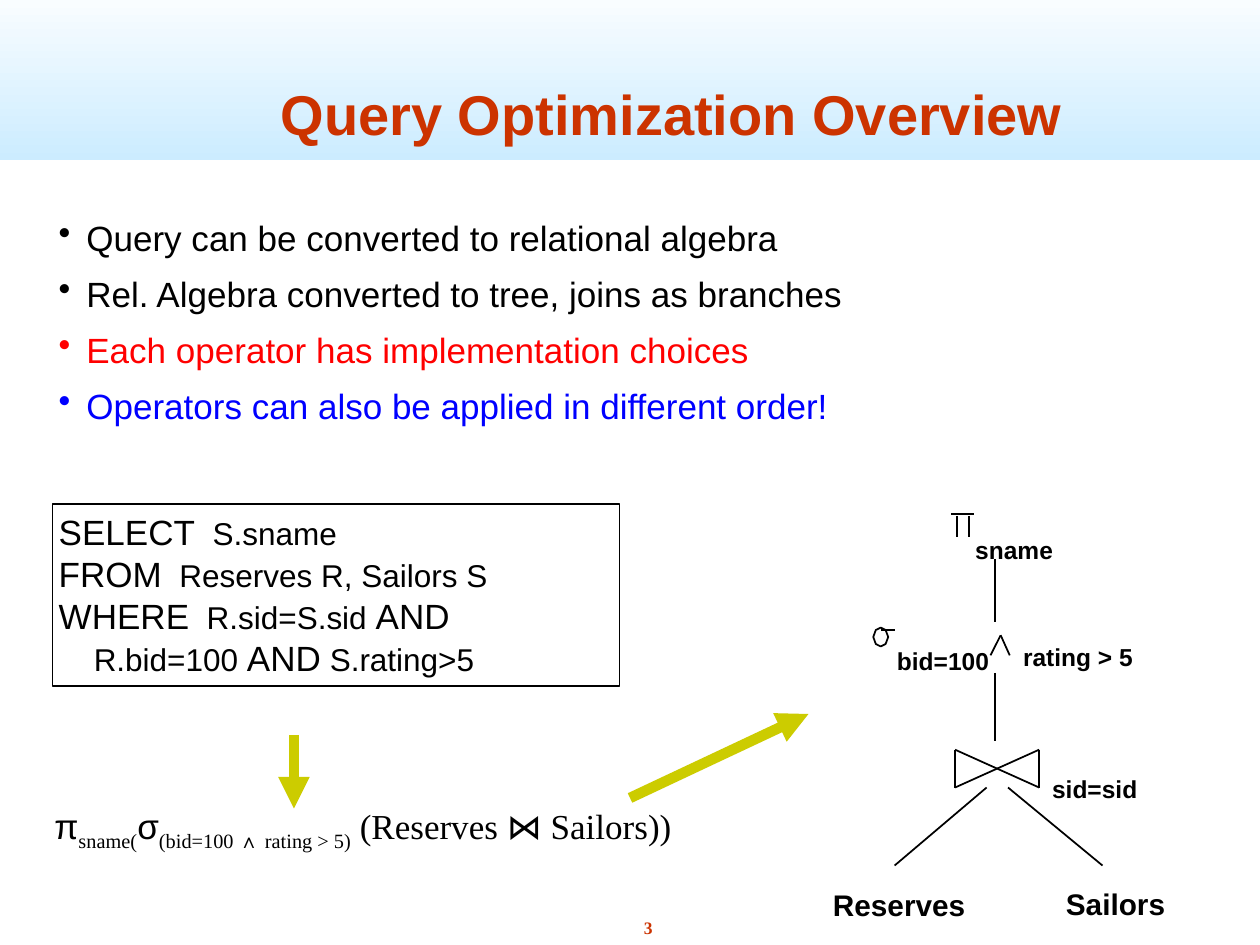
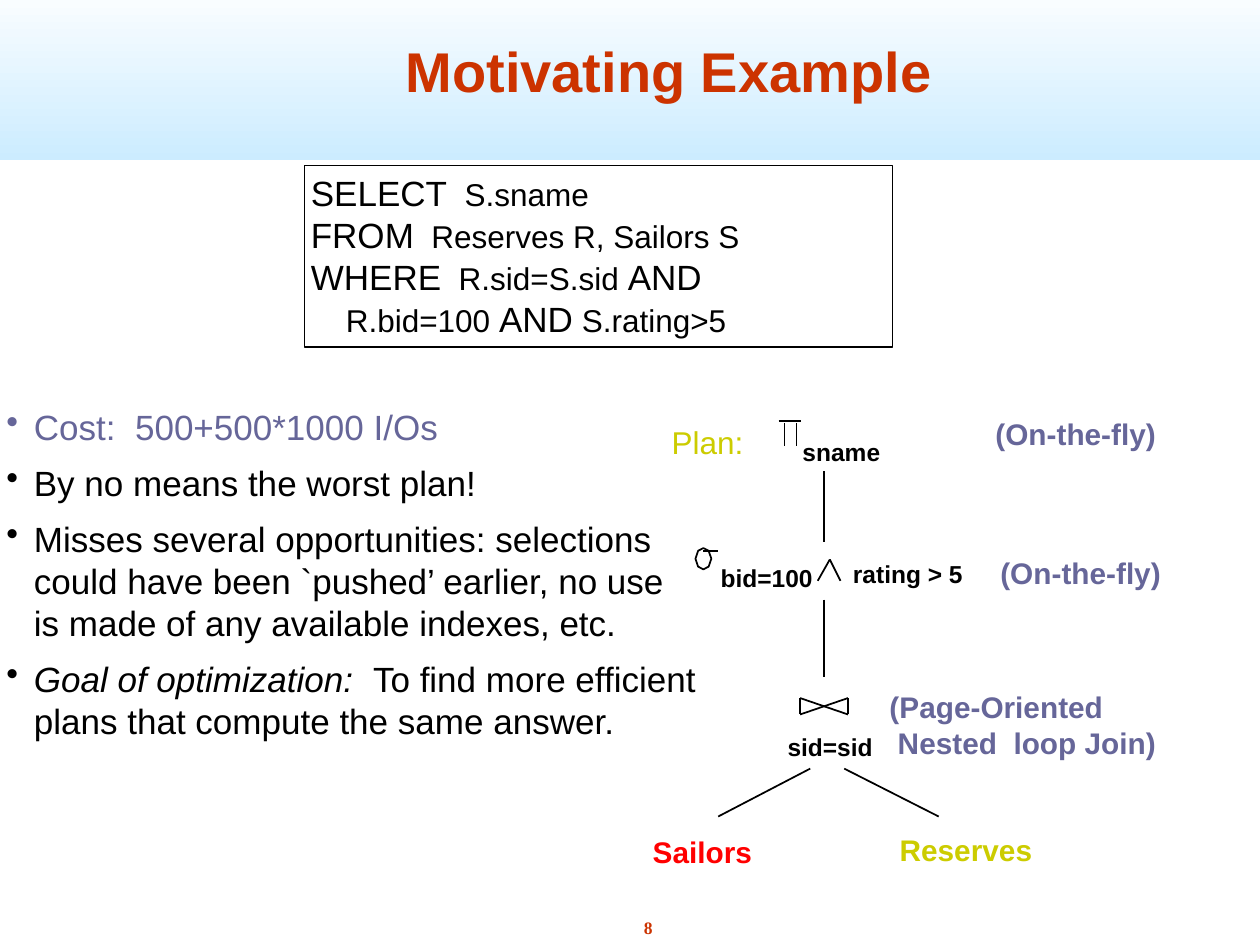
from pptx import Presentation
from pptx.dml.color import RGBColor
from pptx.enum.shapes import MSO_CONNECTOR, MSO_SHAPE
from pptx.enum.text import MSO_ANCHOR, PP_ALIGN
from pptx.oxml.ns import qn
from pptx.util import Pt
from lxml.etree import SubElement

BLACK, RED, BLUE = "000000", "FF0000", "0000FF"
RUST, GOLD, SLATE = "CC3300", "CCCC00", "666699"
SKY, WHITE = "CCECFF", "FFFFFF"
SANS, SERIF, SYMBOL = "Arial", "Times New Roman", "Lato"


def color(code):
    return RGBColor.from_string(code)


def frame(box):
    return [Pt(round(v, 2)) for v in box]


def write(shape, paras, size=20, font=SANS, ink=BLACK, bold=False, align=PP_ALIGN.LEFT,
          anchor=MSO_ANCHOR.TOP, wrap=True, before=0, line=None, bullet=False, inset=()):
    """Fill a shape; a paragraph is a string or a list of (text, changes) runs."""
    body = shape.text_frame
    body.word_wrap, body.vertical_anchor = wrap, anchor
    body.margin_left = body.margin_right = body.margin_top = body.margin_bottom = Pt(3.6)
    for i, runs in enumerate(paras):
        para = body.paragraphs[0] if i == 0 else body.add_paragraph()
        para.alignment, para.space_before = align, Pt(before)
        if line:
            para.line_spacing = Pt(line)
        props = para._p.get_or_add_pPr()
        if i in inset:
            props.set("marL", str(Pt(20)))
        if bullet:
            props.set("marL", str(Pt(15.8)))
            props.set("indent", str(-Pt(15.8)))
            SubElement(props, qn("a:buChar")).set("char", "•")
        for words, change in [(runs, {})] if isinstance(runs, str) else runs:
            run = para.add_run()
            run.text = words
            run.font.size = Pt(change.get("size", size))
            run.font.name = change.get("font", font)
            run.font.color.rgb = color(change.get("ink", ink))
            run.font.bold = bold
            run.font.italic = change.get("slant", False)
            if change.get("sub"):
                run._r.get_or_add_rPr().set("baseline", "-25000")
    return shape


def text(slide, box, paras, **form):
    return write(slide.shapes.add_textbox(*frame(box)), paras, **form)


def stroke(slide, x1, y1, x2, y2, ink=BLACK, width=1, arrow=False):
    link = slide.shapes.add_connector(MSO_CONNECTOR.STRAIGHT, *frame((x1, y1, x2, y2)))
    link.line.color.rgb, link.line.width = color(ink), Pt(width)
    if arrow:
        SubElement(link.line._get_or_add_ln(), qn("a:tailEnd")).set("type", "triangle")
    SubElement(link._element.spPr, qn("a:effectLst"))


# Shared slide parts
def base(deck, title, box, number):
    slide = deck.slides.add_slide(deck.slide_layouts[6])
    band = slide.shapes.add_shape(MSO_SHAPE.RECTANGLE, *frame((0, -12.2, 720, 103.7)))
    band.shadow.inherit = False
    band.line.fill.background()
    band.fill.gradient()
    band.fill.gradient_angle = 90
    for stop, (code, place) in zip(band.fill.gradient_stops, ((SKY, 0), (WHITE, 1))):
        stop.color.rgb, stop.position = color(code), place
    text(slide, (363.6, 520.6, 13.7, 19.4), [number], size=10, font=SERIF, ink=RUST,
         bold=True, align=PP_ALIGN.CENTER, wrap=False, before=6)
    text(slide, box, [title], size=32, ink=RUST, bold=True,
         align=PP_ALIGN.CENTER, anchor=MSO_ANCHOR.BOTTOM)
    return slide


def query(slide, box):
    small = {"size": 18}
    panel = slide.shapes.add_shape(MSO_SHAPE.RECTANGLE, *frame(box))
    panel.shadow.inherit = False
    panel.fill.background()
    panel.line.color.rgb, panel.line.width = color(BLACK), Pt(1)
    write(panel, [
        [("SELECT", {}), ("  S.sname", small)],
        [("FROM", {}), ("  Reserves R, Sailors S", small)],
        [("WHERE", {}), ("  R.sid=S.sid ", small), ("AND", {})],
        [("R.bid=100 ", small), ("AND", {}), (" S.rating>5", small)],
    ], line=24, inset=(3,))


def points(slide, box, paras):
    text(slide, box, paras, before=8, line=24, bullet=True)


# Operator signs, each drawn inside its box
def sign(slide, box, lines):
    x, y, w, h = box
    for x1, y1, x2, y2 in lines:
        stroke(slide, x + x1 * w, y + y1 * h, x + x2 * w, y + y2 * h)


def project(slide, box):
    sign(slide, box, [(0, 0, 1, 0), (.25, .08, .25, 1), (.78, .08, .78, 1)])


def select(slide, box):
    x, y, w, h = box
    ring = [(1, .5), (.83, .13), (.5, 0), (.17, .13),
            (0, .5), (.17, .87), (.5, 1), (.83, .87)]
    spots = [(Pt(x + a * w * .7), Pt(y + b * h)) for a, b in ring]
    path = slide.shapes.build_freeform(*spots[0])
    path.add_line_segments(spots[1:], close=True)
    loop = path.convert_to_shape()
    loop.shadow.inherit = False
    loop.fill.background()
    loop.line.color.rgb, loop.line.width = color(BLACK), Pt(1)
    sign(slide, box, [(.35, .13, 1, .13)])


def wedge(slide, box):
    sign(slide, box, [(0, 1, .53, 0), (.53, 0, 1, 1)])


def join(slide, box):
    sign(slide, box, [(0, 0, 0, 1), (1, 0, 1, 1), (0, 0, 1, 1), (0, 1, 1, 0)])


def tree(slide, box, signs, links, labels):
    left, top = box[:2]
    for draw, (x, y, w, h) in zip((project, select, wedge, join), signs):
        draw(slide, (left + x, top + y, w, h))
    for x1, y1, x2, y2 in links:
        stroke(slide, left + x1, top + y1, left + x2, top + y2)
    for words, x, y, width, size, ink in labels:
        rows = words.split("\n")
        tall = 7.2 + len(rows) * size * 1.15
        text(slide, (left + x, top + y, width, tall), rows,
             size=size, ink=ink, bold=True, wrap=False)


# Algebra line below the query
def algebra(slide, box):
    low, serif = {"font": SERIF, "sub": True}, {"font": SERIF}
    text(slide, box, [[
        ("π", {}), ("sname(", low), ("σ", {}), ("(bid=100 ", low), ("∧ ", {"sub": True}),
        ("rating > 5)", low), (" (Reserves ", serif), ("⋈", {"font": SYMBOL}),
        (" Sailors))", serif)]], before=12)


def overview(deck):
    slide = base(deck, "Query Optimization Overview", (77.8, 0, 612, 87.1), "3")
    query(slide, (30, 288, 324, 104))
    tree(slide, (470, 290, 220, 240),
         signs=[(73.6, 3.8, 13, 13), (29, 68.6, 12.2, 10.8),
                (96, 73, 11, 11.5), (75.8, 138.4, 48, 21.6)],
         links=[(98.8, 29.7, 98.8, 65.7), (98.8, 94.5, 98.8, 133.4),
                (93.8, 160, 41.2, 204.6), (106, 160, 160, 204.6)],
         labels=[("sname", 83.7, 12.4, 52.6, 14, BLACK),
                 ("bid=100", 39, 75.8, 64, 14, BLACK),
                 ("rating > 5", 111, 73.6, 70.6, 14, BLACK),
                 ("sid=sid", 127.6, 148.5, 57, 14, BLACK),
                 ("Reserves", 2.3, 213.3, 83.5, 17, BLACK),
                 ("Sailors", 135.5, 212.6, 64.8, 17, BLACK)])
    points(slide, (30, 120, 654, 138), [
        "Query can be converted to relational algebra",
        "Rel. Algebra converted to tree, joins as branches",
        [("Each operator has implementation choices", {"ink": RED})],
        [("Operators can also be applied in different order!", {"ink": BLUE})]])
    algebra(slide, (27.4, 456, 455, 34.6))
    for ends in ((168, 420, 168, 462), (360, 456, 462, 408)):
        stroke(slide, *ends, ink=GOLD, width=6, arrow=True)


def example(deck):
    slide = base(deck, "Motivating Example", (76.3, 0, 612, 62.6), "8")
    points(slide, (0, 228, 402, 285), [
        [("Cost:  500+500*1000 I/Os", {"ink": SLATE})],
        "By no means the worst plan!",
        "Misses several opportunities: selections could have been `pushed’ earlier, "
        "no use is made of any available indexes, etc.",
        [("Goal of optimization:  ", {"slant": True}),
         ("To find more efficient plans that compute the same answer.", {})]])
    query(slide, (174, 94.5, 336, 104))
    tree(slide, (368, 234, 300, 266),
         signs=[(77, 6.5, 13, 14.4), (29.4, 79.2, 13, 12.2),
                (99.3, 85.7, 13, 12.2), (89.2, 164.9, 27.4, 9.4)],
         links=[(102.9, 35.3, 102.9, 75.6), (102.9, 108.7, 102.9, 152.6),
                (95, 205.2, 42.4, 232.6), (114.4, 205.2, 168.4, 232.6)],
         labels=[("sname", 87, 12.2, 52.6, 14, BLACK),
                 ("bid=100", 40.2, 84.2, 64, 14, BLACK),
                 ("rating > 5", 115.8, 82, 70.6, 14, BLACK),
                 ("sid=sid", 78.4, 180.7, 57, 14, BLACK),
                 ("Sailors", 1.4, 239, 64.8, 17, RED),
                 ("Reserves", 142.5, 237.6, 83.5, 17, GOLD),
                 ("(Page-Oriented\n Nested  loop Join)", 136.7, 156.2, 160, 17, SLATE),
                 ("(On-the-fly)", 200, 79.2, 99.4, 17, SLATE),
                 ("(On-the-fly)", 197.2, 0, 99.4, 17, SLATE)])
    text(slide, (380.2, 238.3, 49, 28.8), ["Plan:"], size=18, ink=GOLD, wrap=False)


def main():
    deck = Presentation()
    deck.slide_width, deck.slide_height = Pt(720), Pt(540)
    overview(deck)
    example(deck)
    deck.save("out.pptx")


if __name__ == "__main__":
    main()
